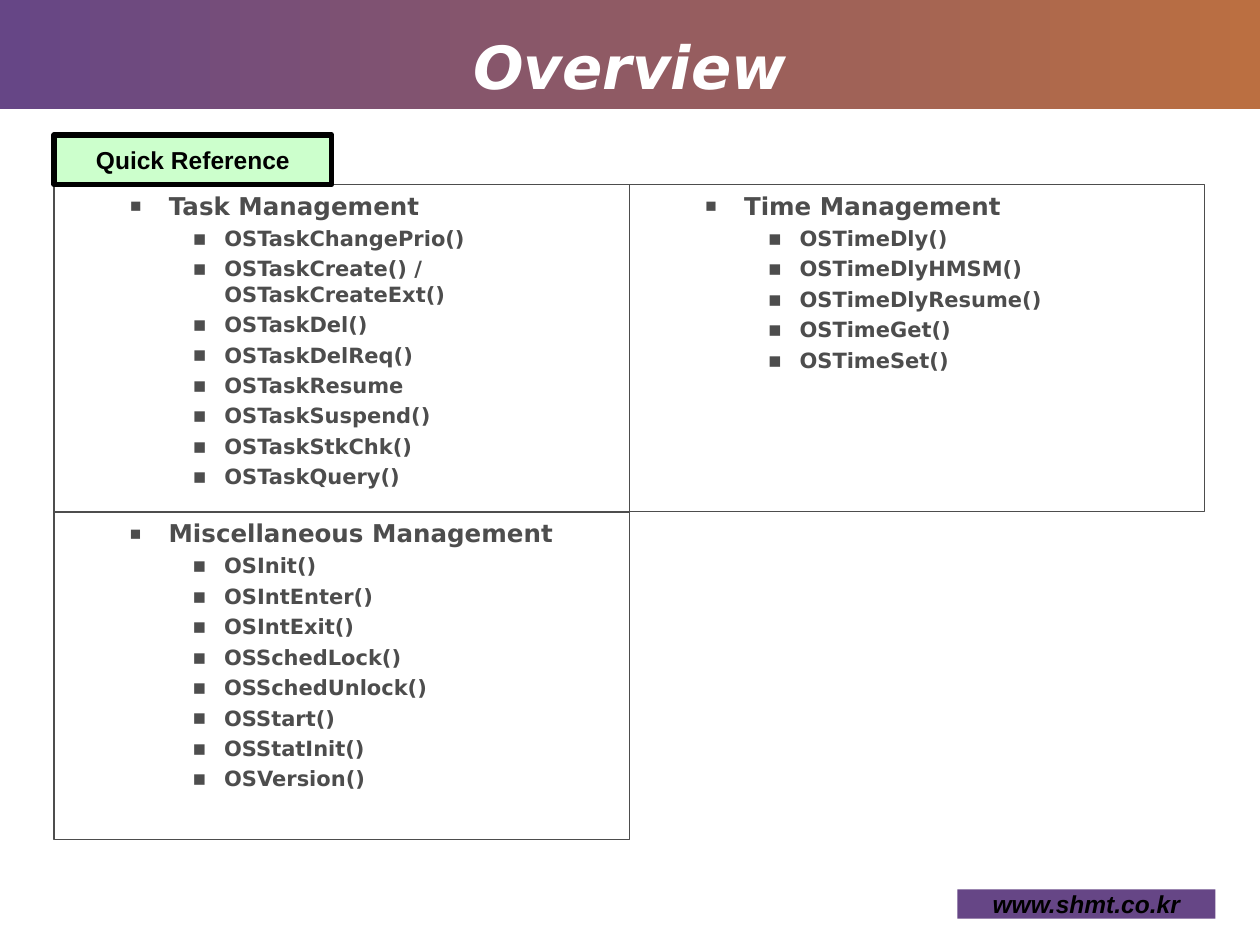
from dataclasses import dataclass

from lxml.etree import SubElement
from pptx import Presentation
from pptx.dml.color import RGBColor
from pptx.enum.text import MSO_ANCHOR, MSO_AUTO_SIZE, PP_ALIGN
from pptx.enum.shapes import MSO_SHAPE
from pptx.oxml.ns import qn
from pptx.util import Cm, Pt


@dataclass(frozen=True)
class Theme:
    purple: str = "664686"
    orange: str = "BB6F41"
    grey: str = "4D4D4D"
    green: str = "CCFFCC"
    black: str = "000000"
    white: str = "FFFFFF"
    text_font: str = "DejaVu Sans"
    label_font: str = "Arial"
    title_size: float = 34
    heading_size: float = 14
    item_size: float = 12
    label_size: float = 14


@dataclass(frozen=True)
class Box:
    left: float
    top: float
    width: float
    height: float

    def place(self, shape) -> None:
        shape.left, shape.top = Cm(self.left), Cm(self.top)
        shape.width, shape.height = Cm(self.width), Cm(self.height)


@dataclass(frozen=True)
class BulletStyle:
    level: int
    margin: float
    hanging: float
    space_before: float
    size: float
    bullet_percent: int


@dataclass(frozen=True)
class Section:
    heading: str
    functions: tuple[str, ...]
    column: int
    row: int


THEME = Theme()
HEADING = BulletStyle(1, 2.06, 0.79, 3.5, THEME.heading_size, 75)
ITEM = BulletStyle(2, 3.18, 0.64, 3, THEME.item_size, 100)
GRID = Box(1.09, 3.72, 11.6, 6.6)  # first cell; the others follow by its size

SECTIONS = (
    Section("Task Management", (
        "OSTaskChangePrio()", "OSTaskCreate() / OSTaskCreateExt()",
        "OSTaskDel()", "OSTaskDelReq()", "OSTaskResume", "OSTaskSuspend()",
        "OSTaskStkChk()", "OSTaskQuery()"), 0, 0),
    Section("Time Management", (
        "OSTimeDly()", "OSTimeDlyHMSM()", "OSTimeDlyResume()",
        "OSTimeGet()", "OSTimeSet()"), 1, 0),
    Section("Miscellaneous Management", (
        "OSInit()", "OSIntEnter()", "OSIntExit()", "OSSchedLock()",
        "OSSchedUnlock()", "OSStart()", "OSStatInit()", "OSVersion()"), 0, 1),
)


def rgb(color: str) -> RGBColor:
    return RGBColor.from_string(color)


def write(para, text: str, *, size: float, color: str = THEME.black,
          font: str = THEME.label_font, italic: bool = False,
          align=PP_ALIGN.CENTER):
    para.alignment = align
    span = para.add_run()
    span.text = text
    span.font.name, span.font.size = font, Pt(size)
    span.font.bold, span.font.italic = True, italic
    span.font.color.rgb = rgb(color)
    return span


def add_text_shadow(span) -> None:
    fill = span.font.fill._xPr.find(qn("a:solidFill"))
    effects = SubElement(fill.getparent(), qn("a:effectLst"))
    fill.addnext(effects)
    shadow = SubElement(effects, qn("a:outerShdw"),
                        dist="25400", dir="2700000", algn="tl")
    SubElement(shadow, qn("a:srgbClr"), val=THEME.black)


def add_rectangle(page, box: Box, *, fill: str | None = None,
                  line: str | None = None, line_width: float = 0.75):
    shape = page.shapes.add_shape(MSO_SHAPE.RECTANGLE, 0, 0, 0, 0)
    box.place(shape)
    shape.shadow.inherit = False
    if fill:
        shape.fill.solid()
        shape.fill.fore_color.rgb = rgb(fill)
    else:
        shape.fill.background()
    outline(shape, line, line_width)
    return shape


def outline(shape, color: str | None, width: float = 0.75) -> None:
    if color:
        shape.line.color.rgb = rgb(color)
        shape.line.width = Pt(width)
    else:
        shape.line.fill.background()


def add_label(page, box: Box, text: str, *, fill: str, italic: bool = False,
              line: str | None = None) -> None:
    shape = add_rectangle(page, box, fill=fill, line=line, line_width=3)
    frame = shape.text_frame
    frame.margin_left = frame.margin_right = 0
    frame.margin_top = frame.margin_bottom = 0
    frame.vertical_anchor = MSO_ANCHOR.MIDDLE
    write(frame.paragraphs[0], text, size=THEME.label_size, italic=italic)


def add_bullet(para, text: str, style: BulletStyle, first: bool) -> None:
    para.level = style.level
    para.line_spacing = 1.0
    para.space_before = Pt(0 if first else style.space_before)
    properties = para._p.get_or_add_pPr()
    properties.set("marL", str(Cm(style.margin)))
    properties.set("indent", str(-Cm(style.hanging)))
    color = SubElement(properties, qn("a:buClr"))
    SubElement(color, qn("a:srgbClr"), val=THEME.grey)
    SubElement(properties, qn("a:buSzPct"), val=str(style.bullet_percent * 1000))
    SubElement(properties, qn("a:buFont"), typeface=THEME.text_font)
    SubElement(properties, qn("a:buChar"), char="▪")
    write(para, text, size=style.size, color=THEME.grey, font=THEME.text_font,
          align=PP_ALIGN.LEFT)


def fill_section(shape, section: Section) -> None:
    frame = shape.text_frame
    frame.word_wrap = True
    frame.auto_size = MSO_AUTO_SIZE.NONE
    frame.vertical_anchor = MSO_ANCHOR.TOP
    add_bullet(frame.paragraphs[0], section.heading, HEADING, True)
    for function in section.functions:
        add_bullet(frame.add_paragraph(), function, ITEM, False)


def add_banner(page) -> None:
    """Draw the gradient band behind everything else."""
    banner = add_rectangle(page, Box(0, 0, 25.4, 2.2))
    banner.fill.gradient()
    banner.fill.gradient_angle = 0
    for stop, color in zip(banner.fill.gradient_stops,
                           (THEME.purple, THEME.orange)):
        stop.color.rgb = rgb(color)
    banner._element.getparent().insert(2, banner._element)


def set_title(title, text: str) -> None:
    Box(0, -0.28, 25.4, 3.2).place(title)
    title.text_frame.auto_size = MSO_AUTO_SIZE.NONE
    title.text_frame.vertical_anchor = MSO_ANCHOR.MIDDLE
    span = write(title.text_frame.paragraphs[0], text, size=THEME.title_size,
                 color=THEME.white, font=THEME.text_font, italic=True)
    add_text_shadow(span)


def main() -> None:
    deck = Presentation()
    deck.slide_width, deck.slide_height = Cm(25.4), Cm(19.05)
    page = deck.slides.add_slide(deck.slide_layouts[1])
    add_banner(page)
    set_title(page.shapes.title, "Overview")
    for index, section in enumerate(SECTIONS):
        cell = Box(GRID.left + section.column * GRID.width,
                   GRID.top + section.row * GRID.height,
                   GRID.width, GRID.height)
        if index == 0:
            shape = page.placeholders[1]
            cell.place(shape)
            outline(shape, THEME.grey)
        else:
            shape = add_rectangle(page, cell, line=THEME.grey)
        fill_section(shape, section)
    add_label(page, Box(19.3, 17.93, 5.2, 0.59), "www.shmt.co.kr",
              fill=THEME.purple, italic=True)
    add_label(page, Box(1.09, 2.72, 5.6, 1), "Quick Reference",
              fill=THEME.green, line=THEME.black)
    deck.save("out.pptx")


if __name__ == "__main__":
    main()
